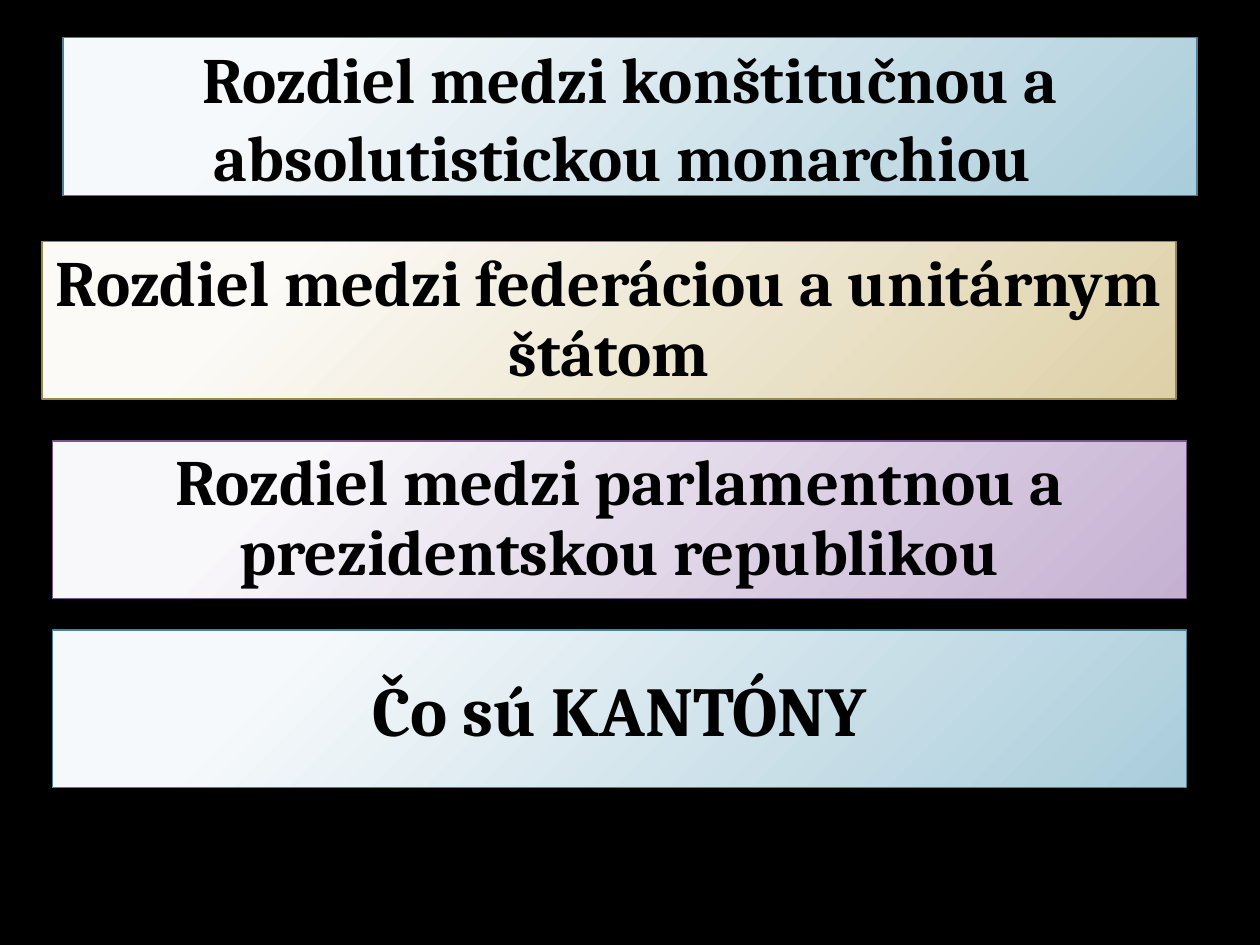
"""Builds a slide of four gradient banners with questions on forms of government."""
from lxml import etree
from pptx import Presentation
from pptx.dml.color import RGBColor
from pptx.enum.shapes import MSO_SHAPE
from pptx.enum.text import MSO_ANCHOR, PP_ALIGN
from pptx.oxml.ns import qn
from pptx.util import Pt

RECTANGLE = MSO_SHAPE.RECTANGLE
MIDDLE = MSO_ANCHOR.MIDDLE
CENTER = PP_ALIGN.CENTER

COLORS = {
    "black": "000000",
    "blue": ("F6F9FB", "AACDDB", "4A8296"),
    "sand": ("FBFAF6", "DED1A8", "998946"),
    "violet": ("F8F7FA", "C5B0D2", "77568A"),
}
FONT = "Cambria"
BANNER_WIDTH, BANNER_HEIGHT = 648, 90
GRADIENT_STOPS = (0.2, 1.0)
GRADIENT_FOCUS = {"l": "-15000", "t": "-15000", "r": "115000", "b": "115000"}

BANNERS = [
    ("Rozdiel medzi konštitučnou a absolutistickou monarchiou ", "blue", 36, 21.6, 36.9, 1.0),
    ("Rozdiel medzi federáciou a unitárnym štátom", "sand", 24, 138, 36.9, 0.9),
    ("Rozdiel medzi parlamentnou a prezidentskou republikou", "violet", 30, 252, 36.9, 0.9),
    ("Čo sú KANTÓNY", "blue", 30, 360, 40, 1.0),
]


def fill_radial(banner, hues):
    banner.fill.gradient()
    for stop, position, hue in zip(banner.fill.gradient_stops, GRADIENT_STOPS, hues):
        stop.position = position
        stop.color.rgb = RGBColor.from_string(hue)
    gradient = banner._element.spPr.find(qn("a:gradFill"))
    gradient.remove(gradient.find(qn("a:lin")))
    circle = etree.SubElement(gradient, qn("a:path"), path="circle")
    etree.SubElement(circle, qn("a:fillToRect"), GRADIENT_FOCUS)


def add_banner(slide, question, palette, left, top, size, spacing):
    light, dark, edge = COLORS[palette]
    banner = slide.shapes.add_shape(
        RECTANGLE, Pt(left), Pt(top), Pt(BANNER_WIDTH), Pt(BANNER_HEIGHT))
    banner.shadow.inherit = False
    fill_radial(banner, (light, dark))
    banner.line.color.rgb = RGBColor.from_string(edge)
    banner.line.width = Pt(0.75)

    frame = banner.text_frame
    frame.word_wrap = True
    frame.vertical_anchor = MIDDLE
    frame.text = question
    paragraph = frame.paragraphs[0]
    paragraph.alignment = CENTER
    paragraph.line_spacing = spacing
    paragraph.font.name = FONT
    paragraph.font.size = Pt(size)
    paragraph.font.bold = True
    paragraph.font.color.rgb = RGBColor.from_string(COLORS["black"])


def main():
    deck = Presentation()
    deck.slide_width, deck.slide_height = Pt(720), Pt(540)
    slide = deck.slides.add_slide(deck.slide_layouts[6])
    slide.background.fill.solid()
    slide.background.fill.fore_color.rgb = RGBColor.from_string(COLORS["black"])
    for banner in BANNERS:
        add_banner(slide, *banner)
    deck.save("out.pptx")


if __name__ == "__main__":
    main()
